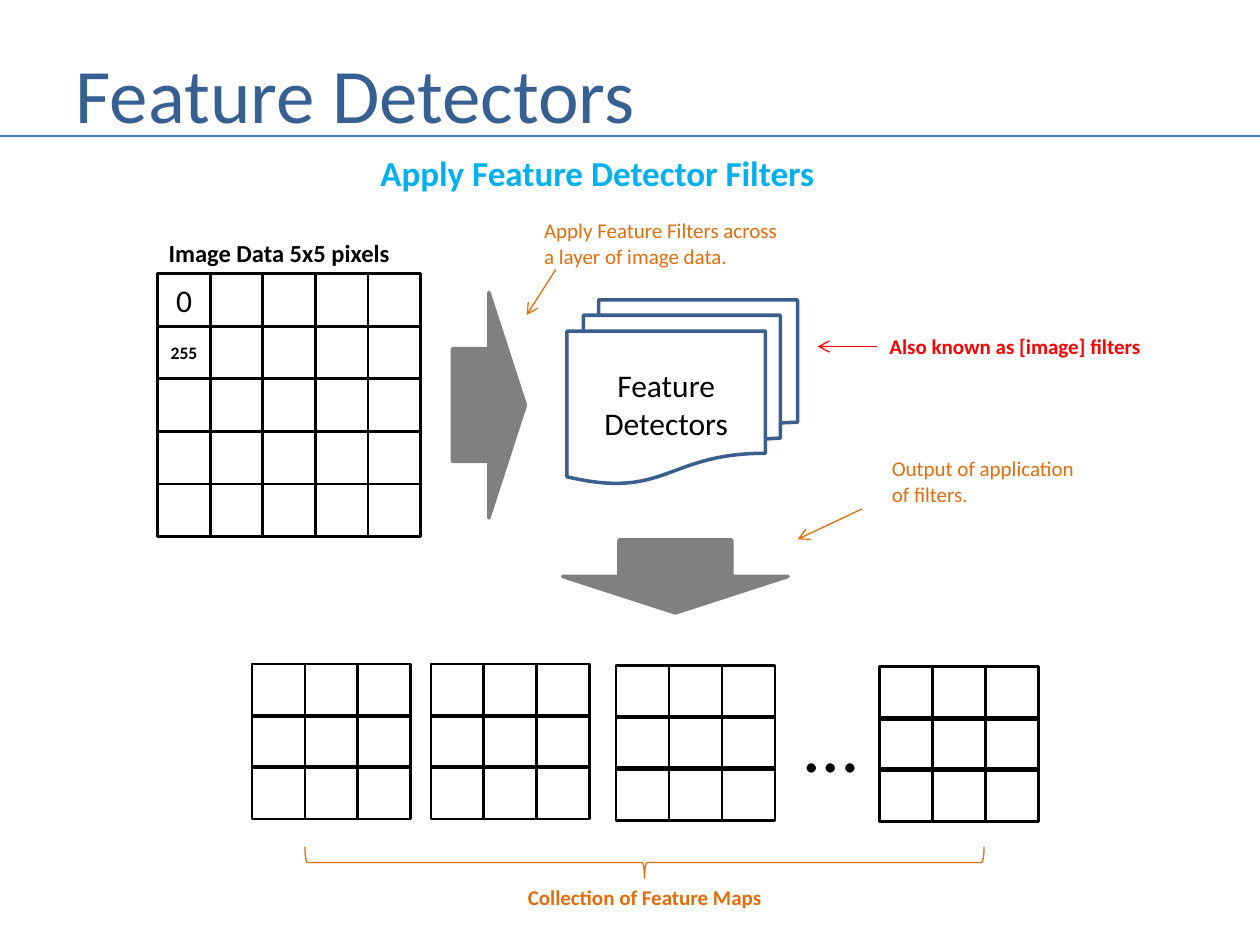
from dataclasses import dataclass
from typing import Optional

import pptx
import pptx.dml.color
import pptx.enum.shapes
import pptx.enum.text
import pptx.oxml
import pptx.oxml.ns
import pptx.util

Inches = pptx.util.Inches
Pt = pptx.util.Pt
RGBColor = pptx.dml.color.RGBColor
Shape = pptx.enum.shapes.MSO_SHAPE
Anchor = pptx.enum.text.MSO_ANCHOR
Align = pptx.enum.text.PP_ALIGN

BLACK = RGBColor(0x00, 0x00, 0x00)
GRAY = RGBColor(0x80, 0x80, 0x80)
TITLE_BLUE = RGBColor(0x37, 0x60, 0x92)
RULE_BLUE = RGBColor(0x4B, 0x7E, 0xBC)
DOCUMENT_BLUE = RGBColor(0x3A, 0x5F, 0x8C)
SKY = RGBColor(0x00, 0xB0, 0xF0)
ORANGE = RGBColor(0xE4, 0x6C, 0x0A)
RED = RGBColor(0xFF, 0x00, 0x00)

CELL = 0.42


@dataclass
class Grid:
    left: float
    top: float
    count: int
    column_step: float
    row_step: float


@dataclass
class Label:
    lines: str
    left: float
    top: float
    width: float
    height: float
    size: float
    color: RGBColor
    bold: bool = False


@dataclass
class Line:
    start: tuple[float, float]
    end: tuple[float, float]
    color: RGBColor
    width: float = 0.75
    arrow: bool = True


@dataclass
class Figure:
    kind: Shape
    left: float
    top: float
    width: float
    height: float
    line: RGBColor
    weight: float
    fill: Optional[RGBColor] = None
    rotation: float = 0


IMAGE_GRID = Grid(1.25, 2.17, 5, 0.4175, 0.4175)
PIXEL_VALUES = {(0, 0): ("0", 18, False), (1, 0): ("255", 10, True)}
FEATURE_MAPS = [
    Grid(left, top, 3, 0.42, 0.405)
    for left, top in [(2, 5.27), (3.42, 5.27), (4.89, 5.28), (6.98, 5.29)]
]

LABELS = [
    Label("Image Data 5x5 pixels", 1.24, 1.84, 1.97, 0.34, 14, BLACK, True),
    Label("Apply Feature Detector Filters", 2.92, 1.15, 3.67, 0.44, 20, SKY, True),
    Label("Output of application\nof filters.", 6.98, 3.57, 1.66, 0.5, 12, ORANGE),
    Label("…", 6.29, 5.47, 0.63, 0.84, 44, BLACK),
    Label("Apply Feature Filters across\na layer of image data.",
          4.22, 1.68, 2.07, 0.5, 12, ORANGE),
    Label("Collection of Feature Maps", 4.09, 6.97, 2.08, 0.3, 12, ORANGE, True),
]
ALSO_KNOWN_AS = Label("Also known as [image] filters", 6.96, 2.6, 2.22, 0.3, 12, RED, True)

TITLE_RULE = Line((0, 1.08), (10, 1.08), RULE_BLUE, 1.5, arrow=False)
FILTERS_POINTER = Line((4.41, 2.14), (4.18, 2.5), ORANGE)
OUTPUT_POINTER = Line((6.84, 4.04), (6.33, 4.28), ORANGE)
ALIAS_POINTER = Line((6.96, 2.75), (6.49, 2.75), RED)

DETECTORS = Figure(Shape.FLOWCHART_MULTIDOCUMENT, 4.5, 2.38, 1.83, 1.46, DOCUMENT_BLUE, 2)
APPLY_ARROW = Figure(Shape.RIGHT_ARROW, 3.59, 2.32, 0.58, 1.79, GRAY, 2, GRAY)
OUTPUT_ARROW = Figure(Shape.RIGHT_ARROW, 5.07, 3.68, 0.58, 1.79, GRAY, 2, GRAY, 90)
MAPS_BRACE = Figure(Shape.LEFT_BRACE, 4.99, 4.15, 0.25, 5.39, ORANGE, 0.75, rotation=270)


def style_text(frame, size: float, color: RGBColor, bold: bool = False) -> None:
    formats = {"name": "Calibri", "size": Pt(size), "bold": bold}
    for paragraph in frame.paragraphs:
        for run in paragraph.runs:
            for name, value in formats.items():
                setattr(run.font, name, value)
            run.font.color.rgb = color


def add_figure(slide, figure: Figure):
    shape = slide.shapes.add_shape(
        figure.kind, Inches(figure.left), Inches(figure.top),
        Inches(figure.width), Inches(figure.height))
    shape.shadow.inherit = False
    shape.rotation = figure.rotation
    if figure.fill is None:
        shape.fill.background()
    else:
        shape.fill.solid()
        shape.fill.fore_color.rgb = figure.fill
    shape.line.color.rgb = figure.line
    shape.line.width = Pt(figure.weight)
    return shape


def write_centred(shape, words: str, size: float, bold: bool = False) -> None:
    frame = shape.text_frame
    frame.text = words
    frame.vertical_anchor = Anchor.MIDDLE
    frame.paragraphs[0].alignment = Align.CENTER
    style_text(frame, size, BLACK, bold)


def add_grid(slide, grid: Grid, values: Optional[dict] = None) -> None:
    """Draw square cells; values maps (row, column) to (text, size, bold)."""
    for row in range(grid.count):
        for column in range(grid.count):
            cell = add_figure(slide, Figure(
                Shape.RECTANGLE, grid.left + column * grid.column_step,
                grid.top + row * grid.row_step, CELL, CELL, BLACK, 1.5))
            if values and (row, column) in values:
                cell.text_frame.margin_left = cell.text_frame.margin_right = 0
                write_centred(cell, *values[row, column])


def add_label(slide, label: Label):
    box = slide.shapes.add_textbox(
        Inches(label.left), Inches(label.top), Inches(label.width), Inches(label.height))
    box.text_frame.word_wrap = False
    box.text_frame.text = label.lines
    style_text(box.text_frame, label.size, label.color, label.bold)
    return box


def add_line(slide, line: Line):
    connector = slide.shapes.add_connector(
        pptx.enum.shapes.MSO_CONNECTOR.STRAIGHT,
        *(Inches(value) for value in line.start + line.end))
    connector.line.color.rgb = line.color
    connector.line.width = Pt(line.width)
    if line.arrow:
        tail = pptx.oxml.parse_xml(
            f'<a:tailEnd {pptx.oxml.ns.nsdecls("a")} type="arrow"/>')
        connector.line._get_or_add_ln().append(tail)
    no_shadow = pptx.oxml.parse_xml(f'<a:effectLst {pptx.oxml.ns.nsdecls("a")}/>')
    connector._element.spPr.append(no_shadow)
    return connector


def add_title(slide) -> None:
    title = slide.shapes.title
    place = {"left": 0.5, "top": 0.3, "width": 9.08, "height": 0.87}
    for name, value in place.items():
        setattr(title, name, Inches(value))
    frame = title.text_frame
    frame.text = "Feature Detectors"
    frame.auto_size = pptx.enum.text.MSO_AUTO_SIZE.NONE
    frame.vertical_anchor = Anchor.MIDDLE
    frame.paragraphs[0].alignment = Align.LEFT
    style_text(frame, 44, TITLE_BLUE)


def main() -> None:
    deck = pptx.Presentation()
    deck.slide_width = Inches(10)
    deck.slide_height = Inches(7.5)
    slide = deck.slides.add_slide(deck.slide_layouts.get_by_name("Title Only"))

    add_title(slide)
    add_line(slide, TITLE_RULE)
    add_grid(slide, IMAGE_GRID, PIXEL_VALUES)
    for figure in (APPLY_ARROW, OUTPUT_ARROW, MAPS_BRACE):
        add_figure(slide, figure)
    write_centred(add_figure(slide, DETECTORS), "Feature\vDetectors", 18)
    for feature_map in FEATURE_MAPS:
        add_grid(slide, feature_map)
    for label in LABELS:
        add_label(slide, label)
    alias = add_label(slide, ALSO_KNOWN_AS)
    for pointer in (FILTERS_POINTER, OUTPUT_POINTER):
        add_line(slide, pointer)
    add_line(slide, ALIAS_POINTER).begin_connect(alias, 1)

    deck.save("out.pptx")


if __name__ == "__main__":
    main()
